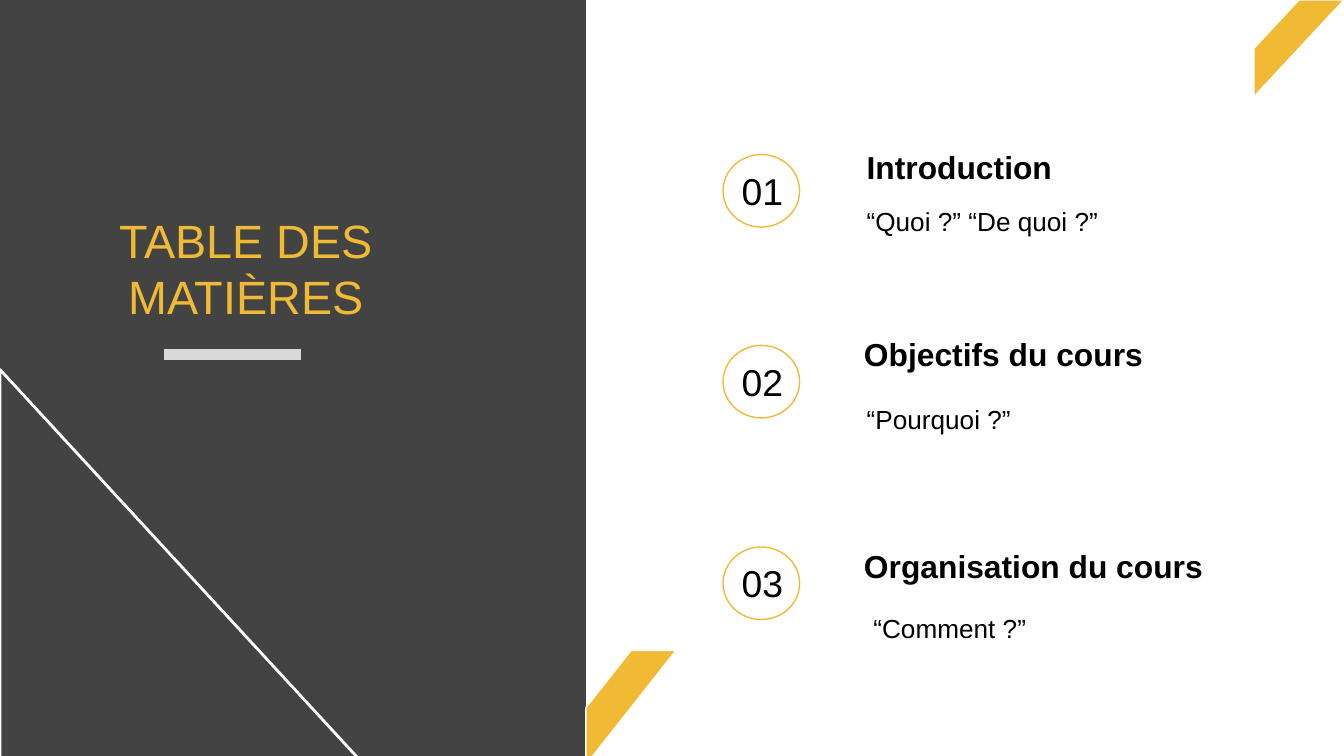
from lxml.etree import SubElement
from pptx import Presentation
from pptx.dml.color import RGBColor
from pptx.enum.shapes import MSO_CONNECTOR, MSO_SHAPE
from pptx.enum.text import MSO_AUTO_SIZE, PP_ALIGN
from pptx.oxml.ns import qn
from pptx.util import Inches, Pt

SLIDE_W = 10
SLIDE_H = SLIDE_W * 9 / 16
PANEL_W = 4.36
GOLD, DARK, WHITE, BLACK, GREY = "F0BA35", "434343", "FFFFFF", "000000", "D9D9D9"

# Number, heading, question, row top, heading (left, top), question (left, top)
ENTRIES = [
    ("01", "Introduction", "“Quoi ?” “De quoi ?”", 1.15, (0.97, -0.15), (0.97, 0.28)),
    ("02", "Objectifs du cours", "“Pourquoi ?”", 2.57, (0.95, -0.18), (0.97, 0.33)),
    ("03", "Organisation du cours", "“Comment ?”", 4.07, (0.95, -0.1), (1.02, 0.39)),
]


def color(hex_value):
    return RGBColor.from_string(hex_value)


def add_text(s, text, x, y, w, h, size, fill=BLACK, bold=False, align=PP_ALIGN.LEFT):
    box = s.shapes.add_textbox(Inches(x), Inches(y), Inches(w), Inches(h))
    tf = box.text_frame
    tf.word_wrap = True
    tf.auto_size = MSO_AUTO_SIZE.SHAPE_TO_FIT_TEXT
    tf.margin_left = tf.margin_right = tf.margin_top = tf.margin_bottom = Inches(0.1)
    for i, line in enumerate(text.split("\n")):
        p = tf.paragraphs[0] if i == 0 else tf.add_paragraph()
        p.alignment = align
        r = p.add_run()
        r.text = line
        r.font.name = "Arial"
        r.font.size = Pt(size)
        r.font.bold = bold
        r.font.color.rgb = color(fill)
    return box


def add_shape(s, kind, x, y, w, h, fill=None, line=None, width=0.75):
    sp = s.shapes.add_shape(kind, Inches(x), Inches(y), Inches(w), Inches(h))
    sp.shadow.inherit = False
    if fill:
        sp.fill.solid()
        sp.fill.fore_color.rgb = color(fill)
    else:
        sp.fill.background()
    if line:
        sp.line.color.rgb = color(line)
        sp.line.width = Pt(width)
    else:
        sp.line.fill.background()
    return sp


def add_line(s, x1, y1, x2, y2, line, width):
    cn = s.shapes.add_connector(
        MSO_CONNECTOR.STRAIGHT, Inches(x1), Inches(y1), Inches(x2), Inches(y2))
    cn.line.color.rgb = color(line)
    cn.line.width = Pt(width)
    SubElement(cn._element.spPr, qn("a:effectLst"))
    return cn


def add_title_panel(s, x, y, w, h):
    add_shape(s, MSO_SHAPE.RECTANGLE, x, y, w, h, fill=DARK)
    add_text(s, "TABLE DES\nMATIÈRES", x + 0.53, y + 1.48, 2.6, 1.04, 25,
             fill=GOLD, align=PP_ALIGN.CENTER)
    # Corner triangles
    add_shape(s, MSO_SHAPE.RIGHT_TRIANGLE, x - 0.01, y + 2.7, 2.25, 2.93, fill=DARK)
    add_shape(s, MSO_SHAPE.RIGHT_TRIANGLE, x, y + 2.75, 2.7, 2.93, line=WHITE, width=1.5)
    # Rule under the title
    add_line(s, x + 1.22, y + 2.64, x + 2.24, y + 2.64, GREY, 6)


def add_entry(s, x, y, number, heading, question, heading_at, question_at):
    add_text(s, number, x + 0.04, y, 0.67, 0.54, 20)
    add_shape(s, MSO_SHAPE.OVAL, x, y, 0.57, 0.54, line=GOLD)
    add_text(s, heading, x + heading_at[0], y + heading_at[1], 3.01, 0.49, 17, bold=True)
    add_text(s, question, x + question_at[0], y + question_at[1], 2.36, 0.44, 14)


def add_stripe(s, x, y, w, h):
    add_shape(s, MSO_SHAPE.DIAGONAL_STRIPE, x, y, w, h, fill=GOLD, line=WHITE)


def main():
    prs = Presentation()
    prs.slide_width, prs.slide_height = Inches(SLIDE_W), Inches(SLIDE_H)
    s = prs.slides.add_slide(prs.slide_layouts[6])

    add_title_panel(s, 0, 0, PANEL_W, SLIDE_H)

    # Table of contents
    for number, heading, question, top, heading_at, question_at in ENTRIES:
        add_entry(s, 5.38, top, number, heading, question, heading_at, question_at)

    # Corner accents
    add_stripe(s, SLIDE_W - 0.67, 0, 0.67, 0.72)
    add_stripe(s, PANEL_W, 4.84, 0.67, 0.85)

    prs.save("out.pptx")


if __name__ == "__main__":
    main()
